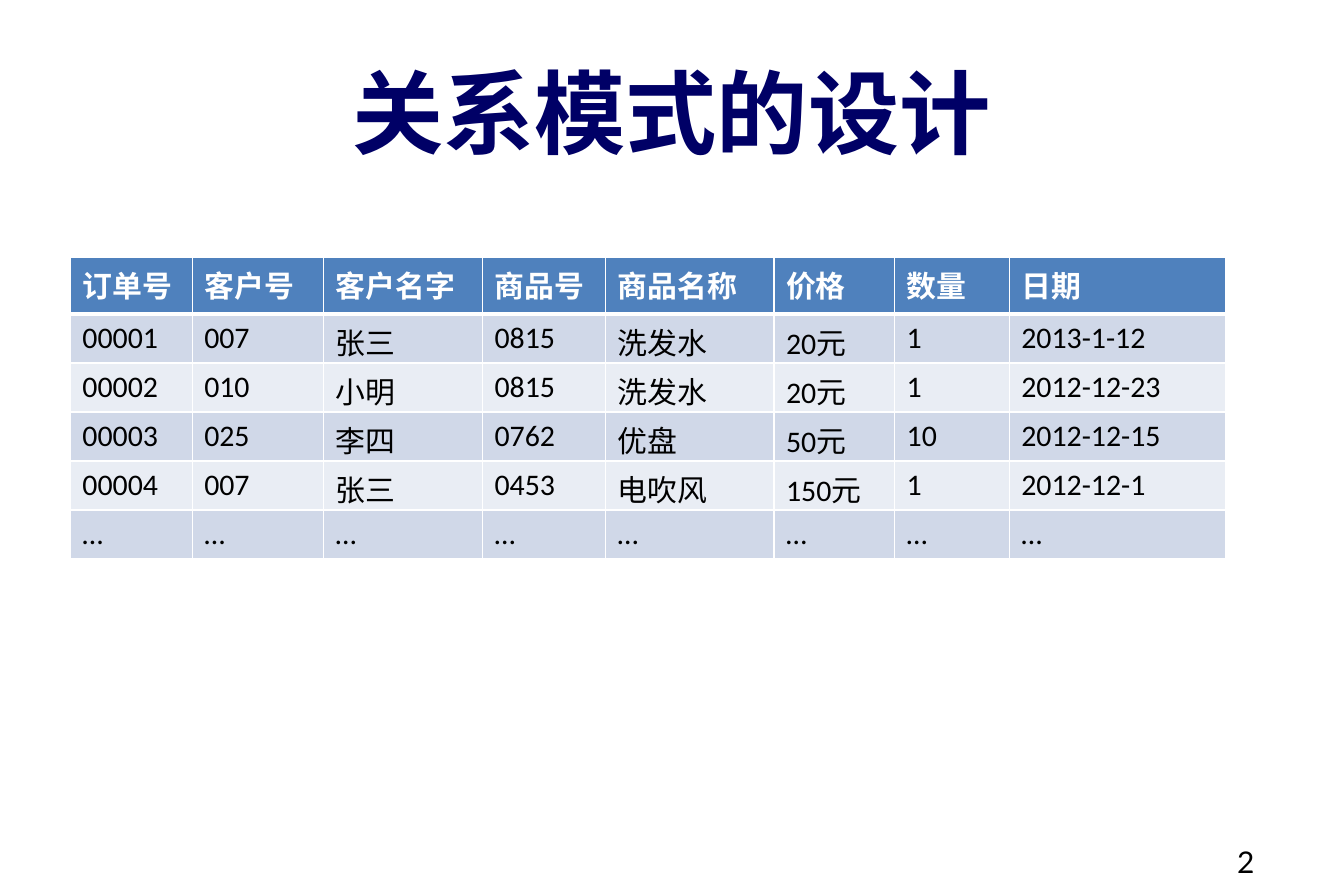
from dataclasses import dataclass

from lxml import etree
from pptx import Presentation
from pptx.dml.color import RGBColor
from pptx.enum import lang, text
from pptx.oxml import ns
from pptx.util import Inches, Pt


@dataclass(frozen=True)
class Theme:
    navy: str = "000066"
    black: str = "000000"
    white: str = "FFFFFF"
    header: str = "4F81BD"
    bands: tuple = ("D0D8E8", "E9EDF4")
    title_size: int = 55
    body_size: int = 18
    title_font: str = "Lato"
    header_font: str = "Arial"
    body_font: str = "Calibri"
    thin: int = 1
    thick: int = 3


theme = Theme()


def write(frame, words, font, size=theme.body_size, color=theme.black,
          bold=False, align=text.PP_ALIGN.LEFT):
    paragraph = frame.paragraphs[0]
    paragraph.alignment = align
    run = paragraph.add_run()
    run.text = words
    run.font.name = font
    run.font.size = Pt(size)
    run.font.bold = bold
    run.font.color.rgb = RGBColor.from_string(color)
    run.font.language_id = lang.MSO_LANGUAGE_ID.SIMPLIFIED_CHINESE


def add_borders(cell, **widths):
    """Draw white cell edges; keys are L, R, T and B, values are points."""
    properties = cell._tc.get_or_add_tcPr()
    for side, width in widths.items():
        edge = etree.SubElement(properties, ns.qn(f"a:ln{side}"), w=str(Pt(width)))
        fill = etree.SubElement(edge, ns.qn("a:solidFill"))
        etree.SubElement(fill, ns.qn("a:srgbClr"), val=theme.white)


deck = Presentation()
deck.slide_width, deck.slide_height = Inches(11.25), Inches(7.5)
slide = deck.slides.add_slide(deck.slide_layouts[6])

# Title and page number
headings = [
    ((0.56, 0.3, 10.12, 1.25), "关系模式的设计", text.MSO_ANCHOR.MIDDLE,
     dict(size=theme.title_size, color=theme.navy, bold=True, align=text.PP_ALIGN.CENTER)),
    ((8.06, 6.97, 2.62, 0.52), "2", text.MSO_ANCHOR.TOP,
     dict(align=text.PP_ALIGN.RIGHT)),
]
for place, words, anchor, style in headings:
    frame = slide.shapes.add_textbox(*map(Inches, place)).text_frame
    frame.word_wrap = True
    frame.vertical_anchor = anchor
    frame.margin_left = frame.margin_right = Inches(0.18)
    frame.margin_top = frame.margin_bottom = Inches(0.09)
    write(frame, words, theme.title_font, **style)

# Order table
column_widths = [1.02, 1.1, 1.33, 1.03, 1.41, 1.01, 0.96, 1.81]
orders = [
    ["订单号", "客户号", "客户名字", "商品号", "商品名称", "价格", "数量", "日期"],
    ["00001", "007", "张三", "0815", "洗发水", "20元", "1", "2013-1-12"],
    ["00002", "010", "小明", "0815", "洗发水", "20元", "1", "2012-12-23"],
    ["00003", "025", "李四", "0762", "优盘", "50元", "10", "2012-12-15"],
    ["00004", "007", "张三", "0453", "电吹风", "150元", "1", "2012-12-1"],
    ["…"] * len(column_widths),
]
order_table = slide.shapes.add_table(
    len(orders), len(column_widths),
    Inches(0.59), Inches(2.15), Inches(sum(column_widths)), Inches(2.55)).table
for column, width in zip(order_table.columns, column_widths):
    column.width = Inches(width)

for r, order in enumerate(orders):
    is_header = r == 0
    order_table.rows[r].height = Inches(0.48 if is_header else 0.41)
    background = theme.header if is_header else theme.bands[(r - 1) % 2]
    style = (dict(font=theme.header_font, color=theme.white, bold=True)
             if is_header else dict(font=theme.body_font))
    for c, value in enumerate(order):
        cell = order_table.cell(r, c)
        add_borders(cell, L=theme.thin, R=theme.thin,
                    T=theme.thick if r == 1 else theme.thin,
                    B=theme.thick if is_header else theme.thin)
        cell.fill.solid()
        cell.fill.fore_color.rgb = RGBColor.from_string(background)
        write(cell.text_frame, value, **style)

deck.save("out.pptx")
